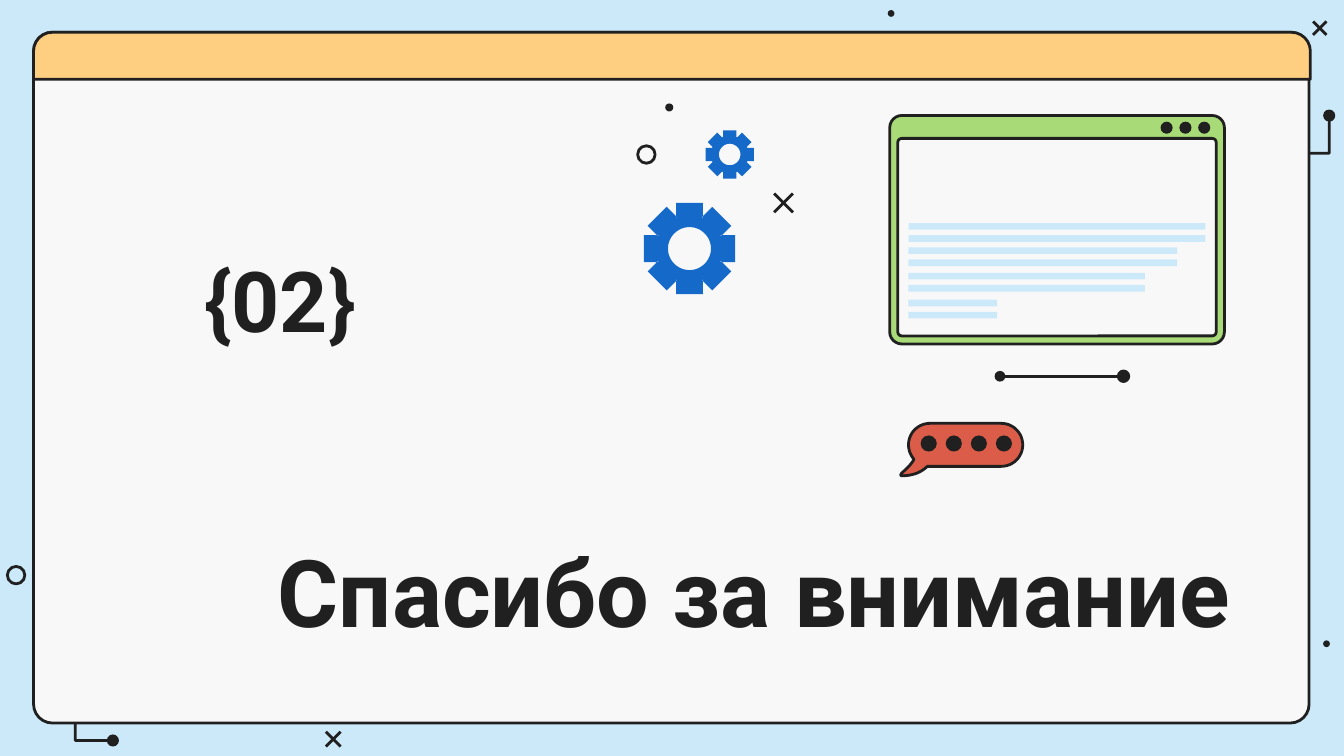
import math
from typing import NamedTuple, Optional

from lxml import etree
from pptx import Presentation
from pptx import util as u
from pptx.dml.color import RGBColor
from pptx.enum import shapes, text
from pptx.oxml.ns import qn

INK, SKY, PAPER, BLUE = "202020", "CCE9FA", "F8F8F8", "1569C9"
GREEN, AMBER, RED = "A8DB78", "FFCF81", "DB5D49"
SHAPE = shapes.MSO_SHAPE


class Dot(NamedTuple):
    x: float
    y: float
    size: float
    ring: bool = False


class Cross(NamedTuple):
    x: float
    y: float
    size: float


class Gear(NamedTuple):
    x: float
    y: float
    tip: float
    root: float
    half: float
    hole: float


class Panel(NamedTuple):
    x: float
    y: float
    w: float
    h: float
    fill: str
    radius: float
    kind: int = SHAPE.ROUNDED_RECTANGLE


class Label(NamedTuple):
    x: float
    y: float
    w: float
    h: float
    words: str
    size: int


def color(code: str) -> RGBColor:
    return RGBColor.from_string(code)


def paint(shape, fill: Optional[str], line: Optional[str] = None) -> None:
    shape.shadow.inherit = False
    if fill:
        shape.fill.solid()
        shape.fill.fore_color.rgb = color(fill)
    else:
        shape.fill.background()
    if line:
        shape.line.color.rgb = color(line)
        shape.line.width = u.Pt(1.5)
    else:
        shape.line.fill.background()


def add(slide, kind: int, x: float, y: float, w: float, h: float):
    return slide.shapes.add_shape(kind, *map(u.Inches, (x, y, w, h)))


def draw_dot(slide, dot: Dot) -> None:
    left, top = dot.x - dot.size / 2, dot.y - dot.size / 2
    oval = add(slide, SHAPE.OVAL, left, top, dot.size, dot.size)
    paint(oval, None if dot.ring else INK, INK if dot.ring else None)


def draw_line(slide, x1: float, y1: float, x2: float, y2: float) -> None:
    ends = map(u.Inches, (x1, y1, x2, y2))
    line = slide.shapes.add_connector(shapes.MSO_CONNECTOR.STRAIGHT, *ends)
    line.line.color.rgb = color(INK)
    line.line.width = u.Pt(1.5)
    etree.SubElement(line._element.spPr, qn("a:effectLst"))


def draw_cross(slide, cross: Cross) -> None:
    x, y, r = cross.x, cross.y, cross.size / 2
    draw_line(slide, x - r, y - r, x + r, y + r)
    draw_line(slide, x + r, y - r, x - r, y + r)


def draw_panel(slide, panel: Panel) -> None:
    shape = add(slide, panel.kind, *panel[:4])
    shape.adjustments[0] = panel.radius / min(panel.w, panel.h)
    paint(shape, panel.fill, INK)


def outline(slide, *rings: list, close: bool = True):
    """Build one freeform from one or more rings of points in inches."""
    build = None
    for ring in rings:
        first, *rest = [(u.Inches(x), u.Inches(y)) for x, y in ring]
        if build is None:
            build = slide.shapes.build_freeform(*first)
        else:
            build.move_to(*first)
        build.add_line_segments(rest, close=close)
    return build.convert_to_shape()


def draw_gear(slide, gear: Gear) -> None:
    tooth = [(-gear.half, -gear.root), (-gear.half, -gear.tip),
             (gear.half, -gear.tip), (gear.half, -gear.root)]
    rim = []
    for turn in range(8):
        c, s = math.cos(turn * math.pi / 4), math.sin(turn * math.pi / 4)
        rim += [(gear.x + x * c - y * s, gear.y + x * s + y * c) for x, y in tooth]
    hole = arc(gear.x, gear.y, gear.hole, 360, 0, 48)[:-1]
    paint(outline(slide, rim, hole), BLUE)


def arc(x: float, y: float, r: float, start: float, end: float, steps: int = 24) -> list:
    angles = [math.radians(start + (end - start) * i / steps) for i in range(steps + 1)]
    return [(x + r * math.cos(a), y + r * math.sin(a)) for a in angles]


def curve(a: tuple, b: tuple, c: tuple, d: tuple, steps: int = 10) -> list:
    """Sample a cubic Bezier curve."""
    spots = []
    for i in range(steps + 1):
        t = i / steps
        mix = ((1 - t) ** 3, 3 * t * (1 - t) ** 2, 3 * t * t * (1 - t), t ** 3)
        spots.append(tuple(sum(m * p[k] for m, p in zip(mix, (a, b, c, d)))
                           for k in (0, 1)))
    return spots


def draw_bubble(slide) -> None:
    ring = curve((6.71, 3.52), (6.73, 3.5), (6.77, 3.47), (6.8, 3.42))
    ring += arc(6.92, 3.31, 0.16, 140, 270) + arc(7.45, 3.31, 0.16, -90, 90)
    ring += curve((6.9, 3.47), (6.86, 3.51), (6.8, 3.54), (6.71, 3.54))
    ring += curve((6.71, 3.54), (6.7, 3.54), (6.7, 3.53), (6.71, 3.52))
    paint(outline(slide, ring), RED, INK)
    for i in range(4):
        draw_dot(slide, Dot(6.91 + 0.56 * i / 3, 3.3, 0.12))


def draw_label(slide, label: Label) -> None:
    frame = slide.shapes.add_textbox(*map(u.Inches, label[:4])).text_frame
    frame.word_wrap = True
    frame.vertical_anchor = text.MSO_ANCHOR.BOTTOM
    frame.margin_left = frame.margin_right = u.Inches(0.1)
    frame.margin_top = frame.margin_bottom = u.Inches(0.1)
    para = frame.paragraphs[0]
    para.text = label.words
    font = para.font
    font.name, font.size, font.bold = "Roboto", u.Pt(label.size), True
    font.color.rgb = color(INK)


def draw_frame(slide) -> None:
    wires = ([(0.74, 3.63), (0.56, 3.81), (0.56, 5.51), (0.84, 5.51)],
             [(8, 0.96), (8.19, 1.14), (9.89, 1.14), (9.89, 0.86)])
    for wire in wires:
        paint(outline(slide, wire, close=False), None, INK)
        draw_dot(slide, Dot(*wire[-1], 0.09))
    for dot in (Dot(6.63, 0.1, 0.05), Dot(9.87, 4.79, 0.05), Dot(0.12, 4.28, 0.13, True)):
        draw_dot(slide, dot)
    for cross in (Cross(2.48, 5.5, 0.11), Cross(9.82, 0.21, 0.1)):
        draw_cross(slide, cross)
    draw_panel(slide, Panel(0.25, 0.24, 9.49, 5.14, PAPER, 0.14))
    draw_panel(slide, Panel(0.25, 0.24, 9.5, 0.35, AMBER, 0.14,
                            SHAPE.ROUND_2_SAME_RECTANGLE))


def draw_window(slide) -> None:
    draw_panel(slide, Panel(6.62, 0.86, 2.49, 1.7, GREEN, 0.09))
    draw_panel(slide, Panel(6.68, 1.03, 2.37, 1.47, PAPER, 0.03))
    for i in range(3):
        draw_dot(slide, Dot(8.68 + 0.14 * i, 0.95, 0.09))
    for top, width in ((1.66, 2.21), (1.84, 2), (2.03, 1.76), (2.23, 0.66)):
        for y in (top, top + 0.09):
            paint(add(slide, SHAPE.RECTANGLE, 6.76, y, width, 0.05), SKY)


def main() -> None:
    deck = Presentation()
    deck.slide_width = u.Inches(10)
    deck.slide_height = u.Inches(10 * 9 / 16)
    slide = deck.slides.add_slide(deck.slide_layouts[6])
    slide.background.fill.solid()
    slide.background.fill.fore_color.rgb = color(SKY)

    draw_frame(slide)
    draw_label(slide, Label(1.97, 3.13, 7.3, 1.78, "Спасибо за внимание", 50))
    draw_label(slide, Label(1.42, 1.69, 1.87, 1.01, "{02}", 45))
    draw_gear(slide, Gear(5.13, 1.85, 0.34, 0.23, 0.1, 0.16))
    draw_gear(slide, Gear(5.43, 1.15, 0.18, 0.13, 0.05, 0.08))
    draw_cross(slide, Cross(5.83, 1.51, 0.14))
    draw_dot(slide, Dot(4.81, 1.15, 0.13, True))
    draw_dot(slide, Dot(4.98, 0.8, 0.06))
    draw_window(slide)
    draw_bubble(slide)
    draw_line(slide, 7.46, 2.8, 8.35, 2.8)
    draw_dot(slide, Dot(7.44, 2.8, 0.08))
    draw_dot(slide, Dot(8.36, 2.8, 0.1))
    deck.save("out.pptx")


if __name__ == "__main__":
    main()
